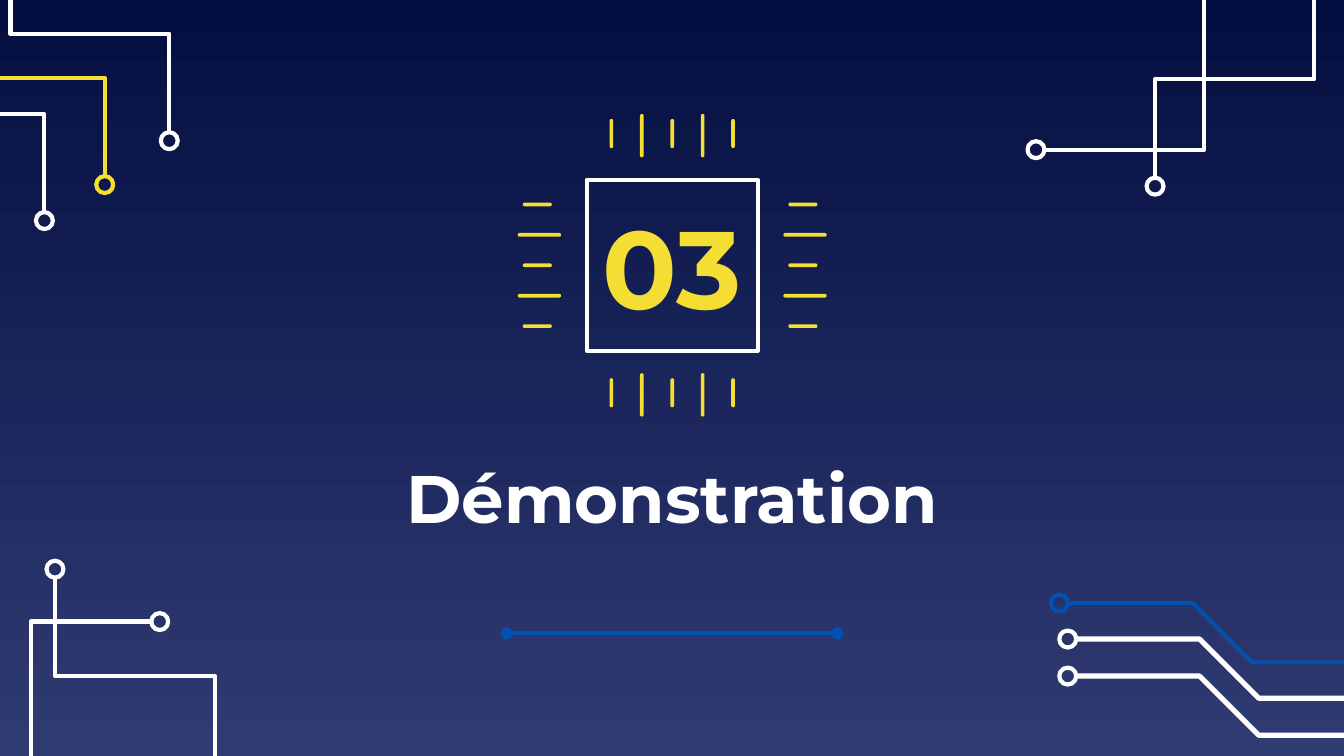
import math

import pptx
import pptx.dml.color
import pptx.enum.shapes
import pptx.enum.text
import pptx.oxml
import pptx.oxml.ns
import pptx.util

Cm, Pt = pptx.util.Cm, pptx.util.Pt
KIND = pptx.enum.shapes.MSO_SHAPE
WIDE, HIGH = 25.4, 14.29
RING = 0.16  # ring radius in cm
FONT = "Montserrat"
HUES = {"top": "040E41", "base": "303B72", "white": "FFFFFF",
        "gold": "F5DE34", "blue": "0152B1"}


def rgb(hue):
    return pptx.dml.color.RGBColor.from_string(HUES[hue])


def outline(shape, hue, size=2.25):
    shape.shadow.inherit = False
    shape.fill.background()
    shape.line.color.rgb = rgb(hue)
    shape.line.width = Pt(size)


def write(shape, text, size, hue):
    frame = shape.text_frame
    frame.text = text
    frame.vertical_anchor = pptx.enum.text.MSO_ANCHOR.MIDDLE
    frame.margin_left = frame.margin_right = Cm(0.25)
    frame.margin_top = frame.margin_bottom = Cm(0.25)
    para = frame.paragraphs[0]
    para.alignment = pptx.enum.text.PP_ALIGN.CENTER
    font = para.runs[0].font
    font.name, font.size, font.bold = FONT, Pt(size), True
    font.color.rgb = rgb(hue)


def trace(slide, points, hue, size):
    """Draw a ring at the first point and a track from its edge."""
    (cx, cy), (nx, ny) = points[:2]
    gap = math.dist(points[0], points[1])
    start = (cx + RING * (nx - cx) / gap, cy + RING * (ny - cy) / gap)
    spots = [(Cm(x), Cm(y)) for x, y in [start] + points[1:]]
    pen = slide.shapes.build_freeform(*spots[0])
    pen.add_line_segments(spots[1:], close=False)
    outline(pen.convert_to_shape(), hue, size)
    ring = slide.shapes.add_shape(KIND.OVAL, Cm(cx - RING), Cm(cy - RING),
                                  Cm(2 * RING), Cm(2 * RING))
    outline(ring, hue)


def corner(slide, box, tracks):
    left, top = box[:2]
    for hue, size, points in tracks:
        trace(slide, [(left + x, top + y) for x, y in points], hue, size)


def pins(slide, cx, cy, flat):
    """Draw five pins, short and long in turn, around a centre."""
    for i in range(5):
        step = (i - 2) * 0.575
        size, shift = (0.82, 0) if i % 2 else (0.55, -0.04)
        if flat:
            x, y, w, h = cx + shift, cy + step, size, 0.07
        else:
            x, y, w, h = cx + step, cy + shift, 0.07, size
        pin = slide.shapes.add_shape(KIND.ROUNDED_RECTANGLE, Cm(x - w / 2),
                                     Cm(y - h / 2), Cm(w), Cm(h))
        pin.adjustments[0] = 0.5
        pin.shadow.inherit = False
        pin.fill.solid()
        pin.fill.fore_color.rgb = rgb("gold")
        pin.line.fill.background()


def chip(slide, box, text):
    x, y, w, h = box
    core = slide.shapes.add_shape(KIND.RECTANGLE, *map(Cm, box))
    outline(core, "white")
    write(core, text, 59, "gold")
    core.text_frame.word_wrap = False
    cx, cy = x + w / 2, y + h / 2
    for side in (-1, 1):
        pins(slide, cx + side * 2.51, cy, True)
        pins(slide, cx, cy + side * 2.45, False)


def heading(slide, box, text):
    x, y, w, h = box
    title = slide.shapes.title
    title.left, title.top = Cm(x), Cm(y)
    title.width, title.height = Cm(w), Cm(1.7)
    write(title, text, 36, "white")
    # Rule with round ends, centred at the foot of the box
    mid, half, foot = x + w / 2, 3.12, y + h
    rule = slide.shapes.add_connector(
        pptx.enum.shapes.MSO_CONNECTOR.STRAIGHT,
        Cm(mid - half), Cm(foot), Cm(mid + half), Cm(foot))
    rule.line.color.rgb = rgb("blue")
    rule.line.width = Pt(2.25)
    line = rule.line._get_or_add_ln()
    for tag in ("a:headEnd", "a:tailEnd"):
        end = pptx.oxml.parse_xml(
            f'<{tag} {pptx.oxml.ns.nsdecls("a")} type="oval"/>')
        line.append(end)
    rule._element.spPr.append(pptx.oxml.parse_xml(
        f'<a:effectLst {pptx.oxml.ns.nsdecls("a")}/>'))


def ground(slide):
    fill = slide.background.fill
    fill.gradient()
    fill.gradient_angle = 270
    for stop, hue in zip(fill.gradient_stops, ("top", "base")):
        stop.color.rgb = rgb(hue)


def main():
    deck = pptx.Presentation()
    deck.slide_width, deck.slide_height = Cm(WIDE), Cm(HIGH)
    slide = deck.slides.add_slide(deck.slide_layouts[5])
    ground(slide)

    # Bottom right: three parallel bent tracks
    bends = [("blue", 2, 0.22, 0.2, 2.74), ("white", 2.75, 0.38, 0.88, 2.87),
             ("white", 2.75, 0.38, 1.58, 2.87)]
    corner(slide, (19.8, 11.2, 5.6, 3.09), [
        (hue, size, [(x, y), (knee, y), (knee + 1.12, y + 1.12),
                     (5.6, y + 1.12)])
        for hue, size, x, y, knee in bends])
    # Bottom left
    corner(slide, (0.5, 10.6, 3.6, 3.69), [
        ("white", 2.25, [(0.54, 0.16), (0.54, 2.18), (3.56, 2.18),
                         (3.56, 3.69)]),
        ("white", 2.25, [(2.52, 1.15), (0.08, 1.15), (0.08, 3.69)])])
    # Top right
    corner(slide, (19.4, 0, 6, 3.7), [
        ("white", 2.25, [(0.18, 2.83), (3.36, 2.83), (3.36, 0)]),
        ("white", 2.25, [(2.43, 3.52), (2.43, 1.5), (5.44, 1.5), (5.44, 0)])])
    # Top left
    corner(slide, (0, 0, 3.4, 4.4), [
        ("white", 2.25, [(0.84, 4.17), (0.84, 2.16), (0, 2.16)]),
        ("gold", 2.25, [(1.98, 3.49), (1.98, 1.47), (0, 1.47)]),
        ("white", 2.25, [(3.2, 2.66), (3.2, 0.64), (0.2, 0.64), (0.2, 0)])])

    # Centre
    heading(slide, (6.8, 8.53, 11.8, 3.44), "Démonstration")
    chip(slide, (11.09, 3.4, 3.23, 3.23), "03")
    deck.save("out.pptx")


if __name__ == "__main__":
    main()
